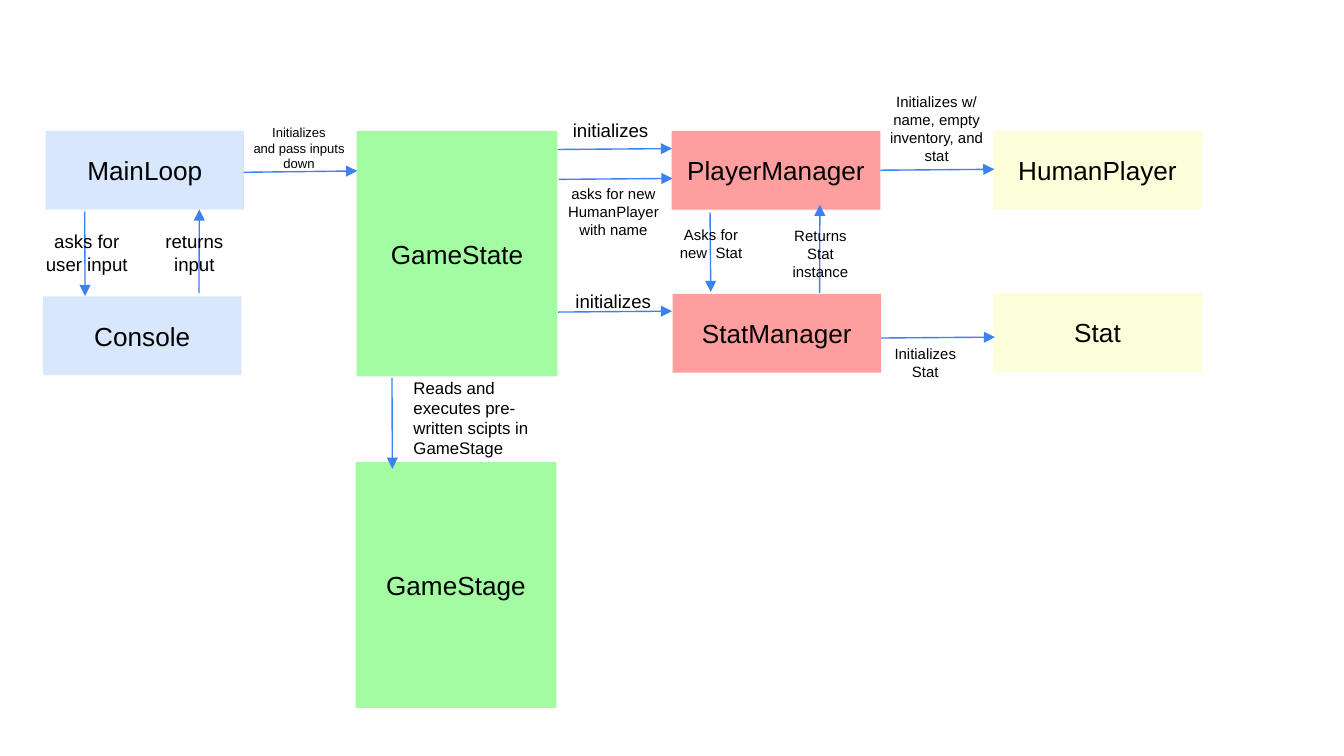
from dataclasses import dataclass

import pptx
import pptx.dml.color
import pptx.enum.shapes
import pptx.enum.text
import pptx.oxml
import pptx.oxml.ns
import pptx.slide
import pptx.text.text
import pptx.util

Pt = pptx.util.Pt
RGB = pptx.dml.color.RGBColor
ALIGN = pptx.enum.text.PP_ALIGN
ANCHOR = pptx.enum.text.MSO_ANCHOR

BLUE = RGB(0xD9, 0xE7, 0xFD)
GREEN = RGB(0xA3, 0xFC, 0xA2)
RED = RGB(0xFF, 0x9E, 0x9E)
YELLOW = RGB(0xFC, 0xFF, 0xD9)
ARROW_BLUE = RGB(0x3C, 0x81, 0xF3)
BLACK = RGB(0, 0, 0)


@dataclass
class BoxStyle:
    width: float
    height: float
    fill: RGB


@dataclass
class Box:
    text: str
    x: float
    y: float
    style: BoxStyle


@dataclass
class Label:
    text: str
    x: float
    y: float
    width: float
    height: float
    size: float
    align: ALIGN = ALIGN.CENTER


@dataclass
class Arrow:
    x1: float
    y1: float
    x2: float
    y2: float


LOOP = BoxStyle(106.2, 42.2, BLUE)
GAME = BoxStyle(107.6, 131.6, GREEN)
MANAGER = BoxStyle(111.8, 42.2, RED)
ENTITY = BoxStyle(111.8, 42.2, YELLOW)
TOP = 70.1

BOXES = [
    Box("MainLoop", 24.5, TOP, LOOP),
    Box("Console", 23.1, 158.8, LOOP),
    Box("GameState", 191.1, TOP, GAME),
    Box("GameStage", 190.5, 247.6, GAME),
    Box("PlayerManager", 359.9, TOP, MANAGER),
    Box("StatManager", 360.3, 157.4, MANAGER),
    Box("HumanPlayer", 532.1, TOP, ENTITY),
    Box("Stat", 532.1, 157, ENTITY),
]

LABELS = [
    Label("asks for user input", 17.3, 119.8, 58.3, 31.7, 10),
    Label("returns input", 70.6, 119.8, 67, 31.7, 10),
    Label("Initializes\nand pass inputs down", 125.3, 63.1, 69.8, 32.4, 7),
    Label("initializes", 299.8, 60.1, 56.2, 19.4, 10, ALIGN.LEFT),
    Label("asks for new HumanPlayer with name", 296.3, 95.3, 64.8, 36, 8),
    Label("initializes", 301.2, 151.5, 56.2, 19.4, 10, ALIGN.LEFT),
    Label("Reads and executes pre-written scipts in GameStage",
          214.4, 198.7, 87.1, 51.1, 9, ALIGN.LEFT),
    Label("Asks for new  Stat", 352.8, 117.4, 56.2, 26.6, 8),
    Label("Returns Stat instance", 410.4, 118.1, 58.3, 36, 8),
    Label("Initializes w/ name, empty inventory, and stat",
          463.3, 46.1, 77, 46.1, 8),
    Label("Initializes Stat", 468.7, 181, 54, 26.6, 8),
]

ARROWS = [
    Arrow(130.5, 92.3, 191.4, 91.6),    # MainLoop to GameState
    Arrow(45.4, 113.2, 45.6, 158.6),    # MainLoop to Console
    Arrow(106.6, 157, 106.8, 112.2),    # Console to MainLoop
    Arrow(298.8, 80.1, 360, 79.6),      # GameState to PlayerManager
    Arrow(299.3, 96.1, 360.3, 95.6),
    Arrow(298.8, 167.2, 360, 166.7),    # GameState to StatManager
    Arrow(210, 202.5, 210.2, 251.2),    # GameState to GameStage
    Arrow(380.4, 113.8, 380.8, 156.4),  # PlayerManager to StatManager
    Arrow(439.1, 157, 439.2, 109.7),    # StatManager to PlayerManager
    Arrow(471.6, 91.2, 532.7, 90.7),    # PlayerManager to HumanPlayer
    Arrow(472.1, 181.1, 533, 180.6),    # StatManager to Stat
]


def write_text(tf: pptx.text.text.TextFrame, text: str, size: float,
               align: ALIGN, anchor: ANCHOR) -> None:
    tf.text = text
    tf.word_wrap = True
    tf.vertical_anchor = anchor
    for p in tf.paragraphs:
        p.alignment = align
        for r in p.runs:
            for name, value in {"name": "Arial", "size": Pt(size)}.items():
                setattr(r.font, name, value)
            r.font.color.rgb = BLACK


def draw_box(s: pptx.slide.Slide, box: Box) -> None:
    sp = s.shapes.add_shape(
        pptx.enum.shapes.MSO_SHAPE.RECTANGLE,
        Pt(box.x), Pt(box.y), Pt(box.style.width), Pt(box.style.height))
    sp.shadow.inherit = False
    sp.fill.solid()
    sp.fill.fore_color.rgb = box.style.fill
    sp.line.fill.background()
    write_text(sp.text_frame, box.text, 14, ALIGN.CENTER, ANCHOR.MIDDLE)


def draw_label(s: pptx.slide.Slide, label: Label) -> None:
    sp = s.shapes.add_textbox(Pt(label.x), Pt(label.y),
                              Pt(label.width), Pt(label.height))
    write_text(sp.text_frame, label.text, label.size, label.align, ANCHOR.TOP)


def draw_arrow(s: pptx.slide.Slide, arrow: Arrow) -> None:
    sp = s.shapes.add_connector(
        pptx.enum.shapes.MSO_CONNECTOR.STRAIGHT,
        Pt(arrow.x1), Pt(arrow.y1), Pt(arrow.x2), Pt(arrow.y2))
    sp.line.color.rgb = ARROW_BLUE
    sp.line.width = Pt(0.75)
    ns = pptx.oxml.ns.nsdecls("a")
    spPr = sp._element.spPr
    spPr.get_or_add_ln().append(
        pptx.oxml.parse_xml(f'<a:tailEnd {ns} type="triangle"/>'))
    spPr.append(pptx.oxml.parse_xml(f"<a:effectLst {ns}/>"))


def main() -> None:
    prs = pptx.Presentation()
    prs.slide_width, prs.slide_height = Pt(720), Pt(405)
    s = prs.slides.add_slide(prs.slide_layouts[6])
    for box in BOXES:
        draw_box(s, box)
    for arrow in ARROWS:
        draw_arrow(s, arrow)
    for label in LABELS:
        draw_label(s, label)
    prs.save("out.pptx")


if __name__ == "__main__":
    main()
